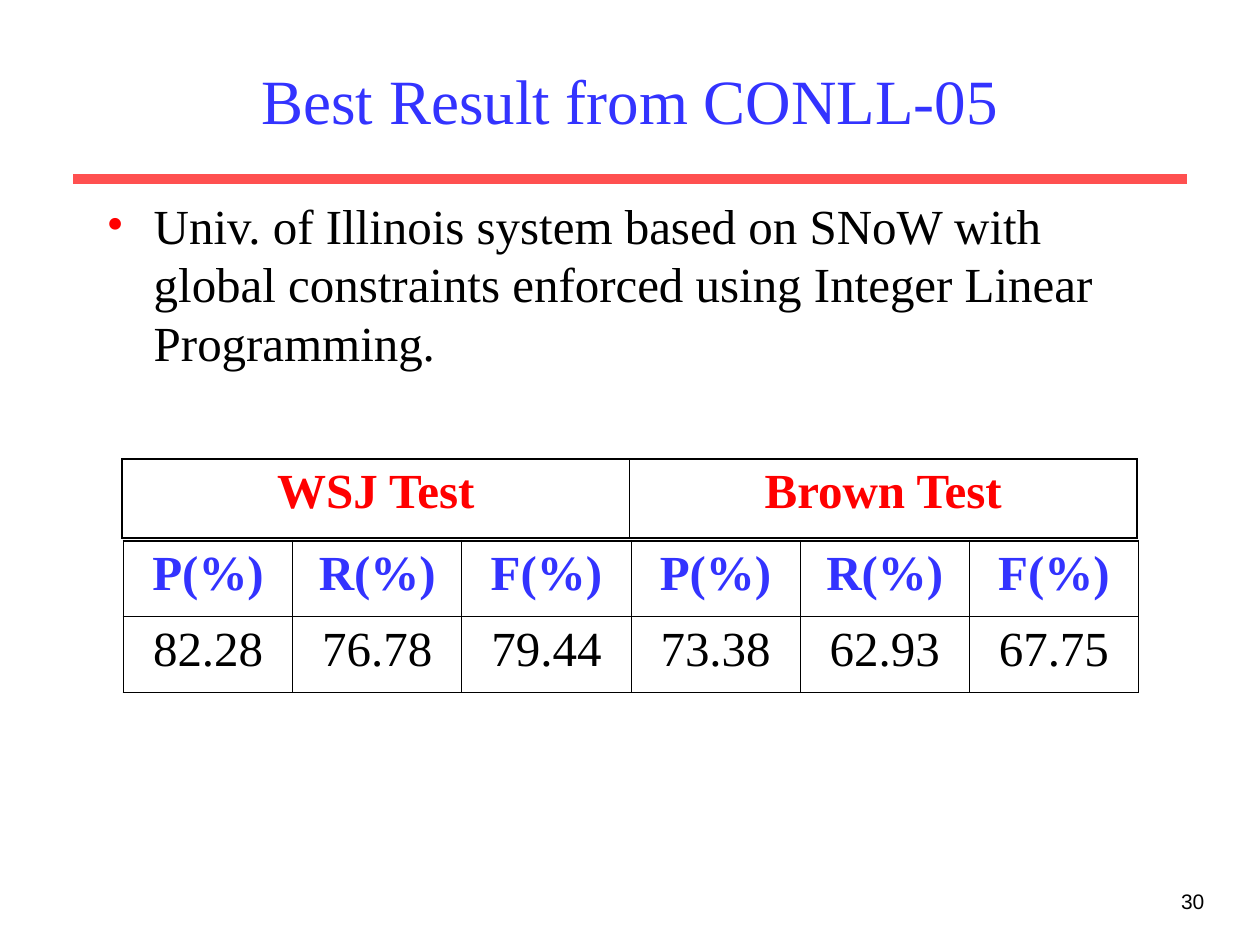
from lxml import etree
from pptx import Presentation
from pptx.dml.color import RGBColor
from pptx.enum.shapes import MSO_CONNECTOR
from pptx.enum.text import MSO_ANCHOR, PP_ALIGN
from pptx.oxml.ns import qn
from pptx.util import Cm, Pt

LEFT, CENTER, RIGHT = PP_ALIGN.LEFT, PP_ALIGN.CENTER, PP_ALIGN.RIGHT
STRAIGHT = MSO_CONNECTOR.STRAIGHT
MIDDLE, TOP = MSO_ANCHOR.MIDDLE, MSO_ANCHOR.TOP
SERIF = "Times New Roman"
BLUE, RED, BLACK = "3333FF", "FF0000", "000000"
THIN, THICK = 0.45, 1.08


def color(value):
    return RGBColor.from_string(value)


def write(tf, text, size, hue, align, name=SERIF, bold=False, before=0):
    p = tf.paragraphs[0]
    p.alignment = align
    p.space_before = Pt(before)
    r = p.add_run()
    r.text = text
    r.font.color.rgb = color(hue)
    for key, value in {"size": Pt(size), "name": name, "bold": bold}.items():
        setattr(r.font, key, value)
    return p


prs = Presentation()
prs.slide_width, prs.slide_height = Cm(25.4), Cm(19.05)
s = prs.slides.add_slide(prs.slide_layouts[5])

rule = s.shapes.add_connector(STRAIGHT, Cm(1.48), Cm(3.61), Cm(23.92), Cm(3.61))
rule.line.color.rgb = color("FF5050")
rule.line.width = Pt(6)
etree.SubElement(rule._element.spPr, qn("a:effectLst"))

title = s.shapes.title
box = {"left": Cm(1.9), "top": Cm(0.64), "width": Cm(21.6), "height": Cm(2.74)}
for key, value in box.items():
    setattr(title, key, value)
title.text_frame.vertical_anchor = MIDDLE
write(title.text_frame, "Best Result from CONLL-05", 36, BLUE, CENTER)

body = s.shapes.add_textbox(Cm(1.9), Cm(3.81), Cm(21.77), Cm(13.03))
body.text_frame.word_wrap = True
p = write(body.text_frame, "Univ. of Illinois system based on SNoW with global constraints "
          "enforced using Integer Linear Programming.", 28, BLACK, LEFT, before=7)
pPr = p._p.get_or_add_pPr()
pPr.set("marL", str(Cm(0.95)))
pPr.set("indent", str(-Cm(0.95)))
bullet_color = etree.SubElement(pPr, qn("a:buClr"))
etree.SubElement(bullet_color, qn("a:srgbClr"), val=RED)
etree.SubElement(pPr, qn("a:buFont"), typeface=SERIF)
etree.SubElement(pPr, qn("a:buChar"), char="•")

number = s.shapes.add_textbox(Cm(19.25), Cm(17.78), Cm(5.28), Cm(1.27))
number.text_frame.word_wrap = True
write(number.text_frame, "30", 12, BLACK, RIGHT, name="Arial")

scores = [(["P(%)", "R(%)", "F(%)"] * 2, BLUE, True),
          (["82.28", "76.78", "79.44", "73.38", "62.93", "67.75"], BLACK, False)]
tests = [(["WSJ Test", "Brown Test"], RED, True)]

for rows, left, top, row_height in [(scores, 2.49, 10.9, 1.53), (tests, 2.46, 9.25, 1.6)]:
    n_rows, n_cols = len(rows), len(rows[0][0])
    table = s.shapes.add_table(n_rows, n_cols, Cm(left), Cm(top),
                               Cm(20.46), Cm(row_height * n_rows)).table
    table.first_row = table.horz_banding = False
    for i, (texts, hue, bold) in enumerate(rows):
        for j, text in enumerate(texts):
            cell = table.cell(i, j)
            cell.vertical_anchor = TOP
            write(cell.text_frame, text, 28, hue, CENTER, bold=bold, before=7)
            outer = {"a:lnL": j == 0, "a:lnR": j == n_cols - 1,
                     "a:lnT": i == 0, "a:lnB": i == n_rows - 1}
            tcPr = cell._tc.get_or_add_tcPr()
            for tag, is_outer in outer.items():
                width = Pt(THICK if is_outer else THIN)
                ln = etree.SubElement(tcPr, qn(tag), w=str(width))
                fill = etree.SubElement(ln, qn("a:solidFill"))
                etree.SubElement(fill, qn("a:srgbClr"), val=BLACK)
            cell.fill.background()

prs.save("out.pptx")
